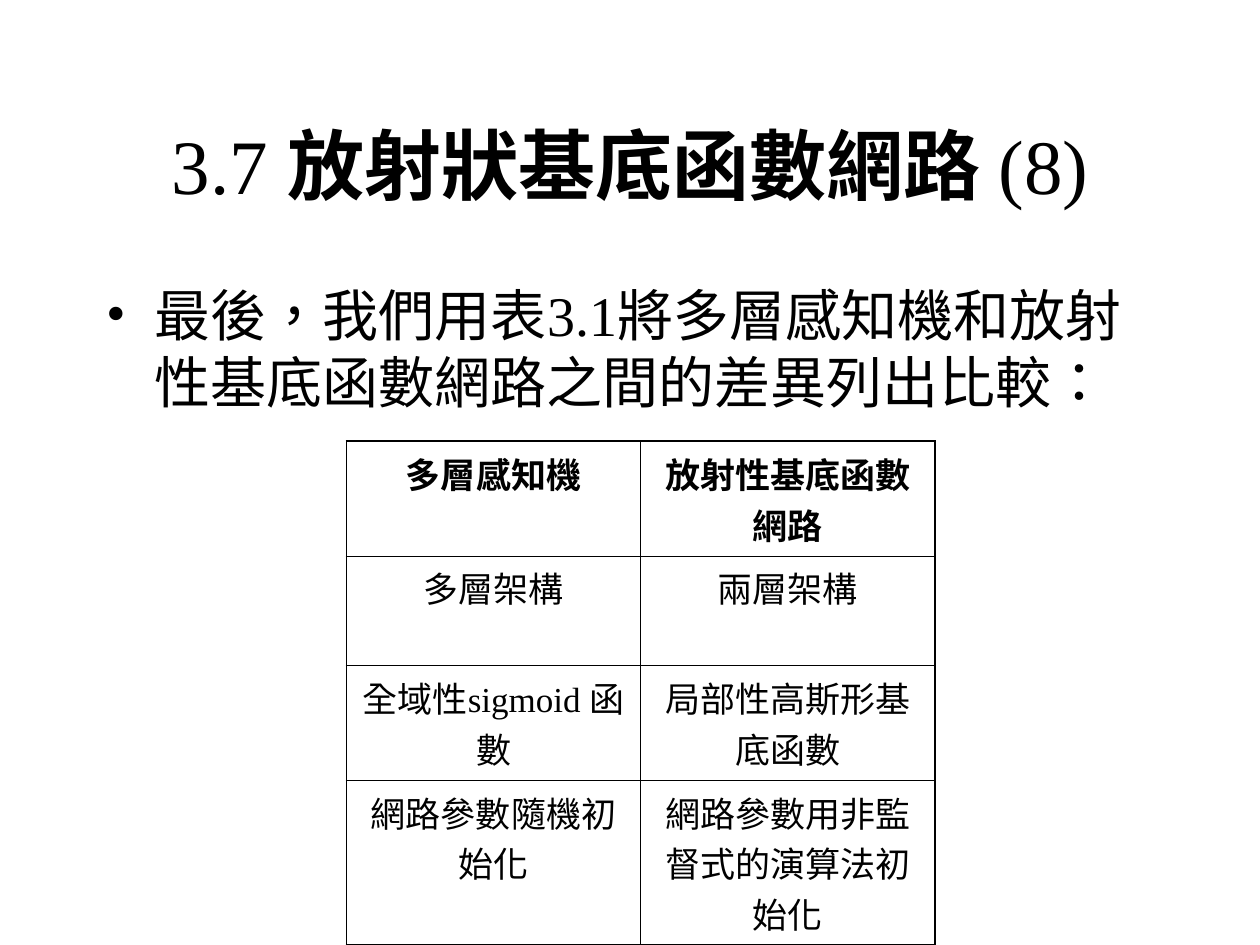
from lxml import etree
from pptx import Presentation
from pptx import util as u
from pptx.dml.color import RGBColor
from pptx.enum import text
from pptx.oxml import ns

COLORS = {"ink": "000000", "paper": "FFFFFF"}
LATIN, CJK = "Times New Roman", "Noto Sans CJK TC"
WIDTH, HEIGHT = u.Inches(10), u.Inches(7.5)
OUTER, INNER = 1.08, 0.45
COMPARISON = [
    ("多層感知機", "放射性基底函數網路"),
    ("多層架構", "兩層架構"),
    ("全域性sigmoid 函數", "局部性高斯形基底函數"),
    ("網路參數隨機初始化", "網路參數用非監督式的演算法初始化"),
]
ROW_HEIGHTS = [0.91, 0.87, 0.91, 1.31]


def add_element(parent, tag, **attributes):
    return etree.SubElement(parent, ns.qn(tag), **attributes)


def format_run(r, size, bold=False, latin=LATIN):
    r.font.size = u.Pt(size)
    r.font.bold = bold
    r.font.name = latin
    r.font.color.rgb = RGBColor.from_string(COLORS["ink"])
    rPr = r._r.get_or_add_rPr()
    rPr.set("lang", "zh-TW")
    add_element(rPr, "a:ea", typeface=CJK)


def add_text(slide, left, top, width, height, anchor):
    sp = slide.shapes.add_textbox(
        int(WIDTH * left), int(HEIGHT * top), int(WIDTH * width), int(HEIGHT * height))
    tf = sp.text_frame
    tf.word_wrap = True
    tf.vertical_anchor = anchor
    return tf.paragraphs[0]


def add_runs(p, size, runs):
    for words, bold, latin in runs:
        r = p.add_run()
        r.text = words
        format_run(r, size, bold, latin)


def add_bullet(p, indent):
    pPr = p._p.get_or_add_pPr()
    pPr.set("marL", str(u.Inches(indent)))
    pPr.set("indent", str(-u.Inches(indent)))
    add_element(add_element(pPr, "a:buClr"), "a:srgbClr", val=COLORS["ink"])
    add_element(pPr, "a:buFont", typeface=LATIN)
    add_element(pPr, "a:buChar", char="•")


def set_borders(cell, widths):
    tcPr = cell._tc.get_or_add_tcPr()
    for i, (side, width) in enumerate(zip("LRTB", widths)):
        ln = etree.Element(ns.qn(f"a:ln{side}"), w=str(u.Pt(width)))
        add_element(add_element(ln, "a:solidFill"), "a:srgbClr", val=COLORS["ink"])
        tcPr.insert(i, ln)


def add_comparison(slide, left, top, width):
    rows, cols = len(COMPARISON), len(COMPARISON[0])
    table = slide.shapes.add_table(
        rows, cols, int(WIDTH * left), int(HEIGHT * top),
        int(WIDTH * width), u.Inches(sum(ROW_HEIGHTS))).table
    for i, (row, height) in enumerate(zip(COMPARISON, ROW_HEIGHTS)):
        table.rows[i].height = u.Inches(height)
        for j, words in enumerate(row):
            cell = table.cell(i, j)
            cell.fill.background()
            edges = (j == 0, j == cols - 1, i == 0, i == rows - 1)
            set_borders(cell, [OUTER if edge else INNER for edge in edges])
            p = cell.text_frame.paragraphs[0]
            p.text = words
            p.alignment = text.PP_ALIGN.CENTER
            p.space_before = u.Pt(5)
            format_run(p.runs[0], 20, bold=i == 0)


def main():
    prs = Presentation()
    prs.slide_width, prs.slide_height = WIDTH, HEIGHT
    slide = prs.slides.add_slide(prs.slide_layouts[6])
    slide.background.fill.solid()
    slide.background.fill.fore_color.rgb = RGBColor.from_string(COLORS["paper"])

    p = add_text(slide, 0.075, 0.09, 0.85, 0.167, text.MSO_ANCHOR.MIDDLE)
    p.alignment = text.PP_ALIGN.CENTER
    add_runs(p, 44, [("3.7 ", False, LATIN),
                     ("放射狀基底函數網路 ", True, LATIN),
                     ("(8)", False, LATIN)])

    p = add_text(slide, 0.075, 0.29, 0.85, 0.6, text.MSO_ANCHOR.TOP)
    p.space_before = u.Pt(8)
    add_bullet(p, 0.38)
    add_runs(p, 32, [("最後，我們用表", False, CJK),
                     ("3.1", False, LATIN),
                     ("將多層感知機和放射性基底函數網路之間的差異列出比較：", False, CJK)])

    add_comparison(slide, 0.275, 0.467, 0.467)
    prs.save("out.pptx")


if __name__ == "__main__":
    main()
